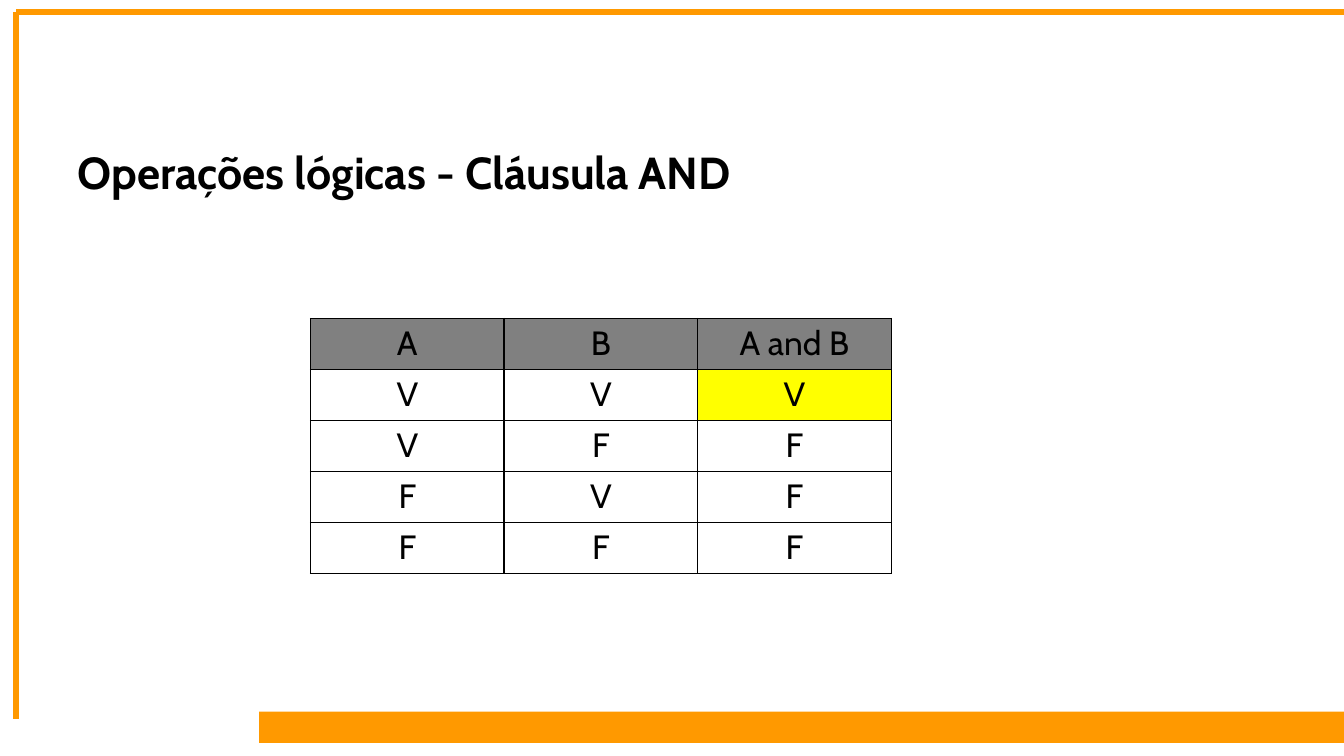
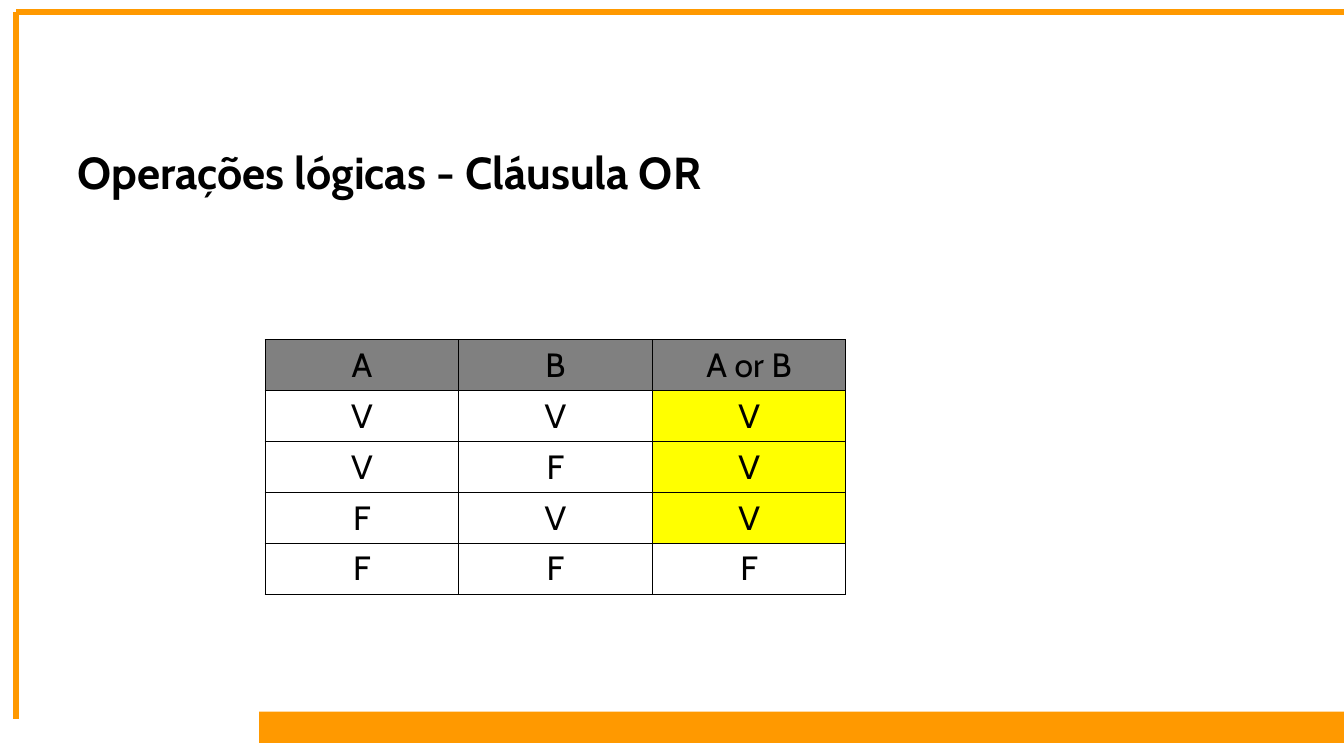
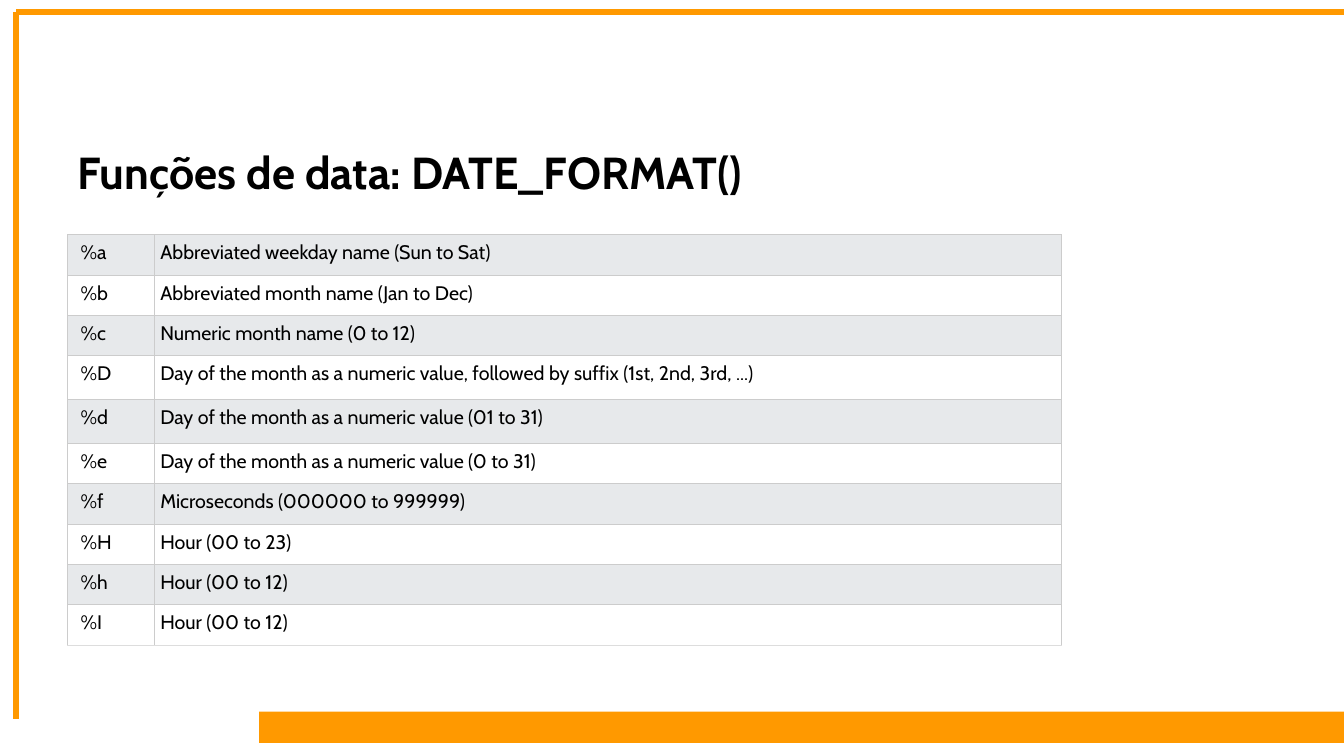
from lxml import etree
from pptx import Presentation
from pptx.dml.color import RGBColor
from pptx.enum.shapes import MSO_CONNECTOR, MSO_SHAPE
from pptx.enum.text import MSO_ANCHOR, PP_ALIGN
from pptx.oxml.ns import qn
from pptx.util import Inches, Pt

STRAIGHT = MSO_CONNECTOR.STRAIGHT
RECTANGLE = MSO_SHAPE.RECTANGLE
MIDDLE = MSO_ANCHOR.MIDDLE
LEFT, CENTER = PP_ALIGN.LEFT, PP_ALIGN.CENTER

ORANGE = RGBColor(0xFF, 0x99, 0x00)
BLACK = RGBColor(0x00, 0x00, 0x00)
WHITE = RGBColor(0xFF, 0xFF, 0xFF)
HEADER_GRAY = RGBColor(0x80, 0x80, 0x80)
YELLOW = RGBColor(0xFF, 0xFF, 0x00)
BAND_GRAY = RGBColor(0xE7, 0xE9, 0xEB)
RULE_GRAY = RGBColor(0xCC, 0xCC, 0xCC)
LAST_RULE_GRAY = RGBColor(0xDD, 0xDD, 0xDD)

FONT = "Cabin"
SLIDE_WIDTH, SLIDE_HEIGHT = 13.33, 7.5
TITLE_BOX = (0.67, 1.08, 12, 1.25)
TITLE_ONLY_LAYOUT = 5

TRUTH_INPUTS = [("V", "V"), ("V", "F"), ("F", "V"), ("F", "F")]
TRUTH_COLUMN, TRUTH_ROW = 1.92, 0.5

DATE_FORMATS = [
    ("%a", "Abbreviated weekday name (Sun to Sat)"),
    ("%b", "Abbreviated month name (Jan to Dec)"),
    ("%c", "Numeric month name (0 to 12)"),
    ("%D", "Day of the month as a numeric value, followed by suffix (1st, 2nd, 3rd, ...)"),
    ("%d", "Day of the month as a numeric value (01 to 31)"),
    ("%e", "Day of the month as a numeric value (0 to 31)"),
    ("%f", "Microseconds (000000 to 999999)"),
    ("%H", "Hour (00 to 23)"),
    ("%h", "Hour (00 to 12)"),
    ("%I", "Hour (00 to 12)"),
]
DATE_COLUMNS = (0.86, 9)
DATE_ROW = 0.4
TALLER_ROWS = {"%D": 0.43, "%d": 0.44}


def style_font(paragraph, size, bold=False):
    font = paragraph.font
    font.name, font.size, font.bold = FONT, Pt(size), bold
    font.color.rgb = BLACK


def add_frame(layout, slide):
    """Draw the orange frame with the slide's tools and move it to the layout."""
    left, top, bottom = 0.16, 0.12, 7.13
    bar_left, bar_top, bar_height = 2.57, 7.06, 0.31
    bar = slide.shapes.add_shape(
        RECTANGLE, Inches(bar_left), Inches(bar_top),
        Inches(SLIDE_WIDTH - bar_left), Inches(bar_height))
    bar.shadow.inherit = False
    bar.fill.solid()
    bar.fill.fore_color.rgb = ORANGE
    bar.line.fill.background()

    parts = [bar]
    for end_x, end_y in ((left, bottom), (SLIDE_WIDTH, top)):
        line = slide.shapes.add_connector(
            STRAIGHT, Inches(left), Inches(top), Inches(end_x), Inches(end_y))
        line.line.color.rgb = ORANGE
        line.line.width = Pt(4.5)
        etree.SubElement(line.element.spPr, qn("a:effectLst"))
        parts.append(line)

    layout_tree = layout.element.cSld.spTree
    next_id = max(shape.shape_id for shape in layout.shapes) + 1
    for index, part in enumerate(parts):
        part.element.xpath("./*/p:cNvPr")[0].set("id", str(next_id + index))
        layout_tree.insert(2 + index, part.element)


def place_layout_title(layout):
    title = layout.placeholders[0]
    title.left, title.top, title.width, title.height = map(Inches, TITLE_BOX)
    title.text_frame.vertical_anchor = MIDDLE


def add_titled_slide(presentation, layout, text):
    slide = presentation.slides.add_slide(layout)
    slide.shapes.title.text_frame.text = text
    paragraph = slide.shapes.title.text_frame.paragraphs[0]
    paragraph.alignment = LEFT
    style_font(paragraph, 32, bold=True)
    return slide


def set_borders(cell, width, color, bottom_color):
    properties = cell._tc.get_or_add_tcPr()
    for side in "LRTB":
        line = etree.SubElement(properties, qn(f"a:ln{side}"), w=str(Pt(width)))
        fill = etree.SubElement(line, qn("a:solidFill"))
        etree.SubElement(fill, qn("a:srgbClr"),
                         val=str(bottom_color if side == "B" else color))


def add_plain_table(slide, left, top, columns, rows):
    table = slide.shapes.add_table(
        len(rows), len(columns), Inches(left), Inches(top),
        Inches(sum(columns)), Inches(sum(rows))).table
    table.first_row = table.horz_banding = False
    for column, width in zip(table.columns, columns):
        column.width = Inches(width)
    for row, height in zip(table.rows, rows):
        row.height = Inches(height)
    return table


def fill_cell(cell, text, size, alignment, fill):
    cell.fill.solid()
    cell.fill.fore_color.rgb = fill
    cell.text_frame.text = text
    paragraph = cell.text_frame.paragraphs[0]
    paragraph.alignment = alignment
    style_font(paragraph, size)


def add_truth_table(slide, left, top, operator, results):
    """Show the operator's results, with the true ones highlighted."""
    rows = [("A", "B", f"A {operator} B")]
    rows += [(*inputs, result) for inputs, result in zip(TRUTH_INPUTS, results)]
    table = add_plain_table(slide, left, top, [TRUTH_COLUMN] * 3, [TRUTH_ROW] * len(rows))
    for row_index, row in enumerate(rows):
        for column_index, text in enumerate(row):
            if row_index == 0:
                fill = HEADER_GRAY
            elif column_index == 2 and text == "V":
                fill = YELLOW
            else:
                fill = WHITE
            cell = table.cell(row_index, column_index)
            set_borders(cell, 1, BLACK, BLACK)
            fill_cell(cell, text, 24, CENTER, fill)


def add_date_format_table(slide, left, top):
    heights = [TALLER_ROWS.get(code, DATE_ROW) for code, _ in DATE_FORMATS]
    table = add_plain_table(slide, left, top, DATE_COLUMNS, heights)
    for row_index, row in enumerate(DATE_FORMATS):
        is_last = row_index == len(DATE_FORMATS) - 1
        for column_index, text in enumerate(row):
            cell = table.cell(row_index, column_index)
            set_borders(cell, 0.75, RULE_GRAY, LAST_RULE_GRAY if is_last else RULE_GRAY)
            fill_cell(cell, text, 14, LEFT, WHITE if row_index % 2 else BAND_GRAY)
            cell.margin_left = Inches(0.06 if column_index else 0.13)
            cell.margin_right = cell.margin_top = cell.margin_bottom = Inches(0.06)


def main():
    presentation = Presentation()
    presentation.slide_width = Inches(SLIDE_WIDTH)
    presentation.slide_height = Inches(SLIDE_HEIGHT)
    layout = presentation.slide_layouts[TITLE_ONLY_LAYOUT]
    place_layout_title(layout)

    and_slide = add_titled_slide(presentation, layout, "Operações lógicas - Cláusula AND")
    add_frame(layout, and_slide)
    add_truth_table(and_slide, 3.08, 3.16, "and", "VFFF")

    or_slide = add_titled_slide(presentation, layout, "Operações lógicas - Cláusula OR")
    add_truth_table(or_slide, 2.63, 3.37, "or", "VVVF")

    date_slide = add_titled_slide(presentation, layout, "Funções de data: DATE_FORMAT()")
    add_date_format_table(date_slide, 0.67, 2.33)

    presentation.save("out.pptx")


if __name__ == "__main__":
    main()
